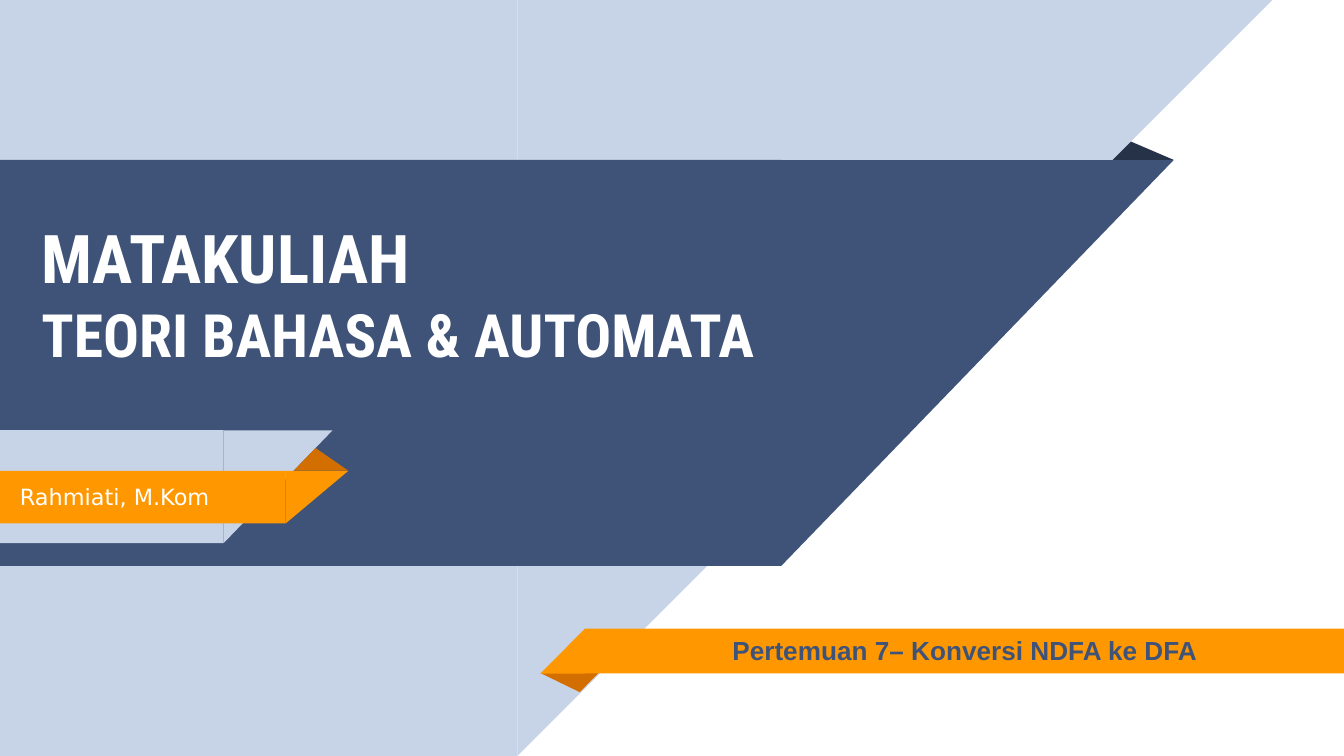
from dataclasses import dataclass

from pptx import Presentation
from pptx.dml.color import RGBColor
from pptx.enum.shapes import MSO_SHAPE
from pptx.enum.text import MSO_ANCHOR, PP_ALIGN
from pptx.util import Pt


@dataclass(frozen=True)
class Theme:
    pale: str = "C7D3E6"
    navy: str = "3F5378"
    navy_fold: str = "263248"
    orange: str = "FF9800"
    orange_fold: str = "D26F00"
    white: str = "FFFFFF"
    title_size: float = 36
    subtitle_size: float = 32
    meeting_size: float = 14
    name_size: float = 12


@dataclass(frozen=True)
class Ribbon:
    """A bar running from start to join, then narrowing to tip."""
    start: float
    join: float
    tip: float
    top: float
    height: float
    colour: str


@dataclass(frozen=True)
class Fold:
    """The shaded triangle behind a ribbon's end."""
    left: float
    top: float
    width: float
    height: float
    apex: float
    colour: str
    turn: float = 0


THEME = Theme()

deck = Presentation()
deck.slide_width, deck.slide_height = Pt(720), Pt(405)
page = deck.slides.add_slide(deck.slide_layouts[6])


def add_solid(kind: MSO_SHAPE, left: float, top: float, width: float, height: float,
              colour: str, turn: float = 0, flip: bool = False):
    shape = page.shapes.add_shape(kind, Pt(left), Pt(top), Pt(width), Pt(height))
    shape.shadow.inherit = False
    shape.fill.solid()
    shape.fill.fore_color.rgb = RGBColor.from_string(colour)
    shape.line.fill.background()
    shape.rotation = turn
    if flip:
        shape.element.spPr.xfrm.set("flipH", "1")
    return shape


def add_ribbon(ribbon: Ribbon) -> None:
    for kind, first, last in ((MSO_SHAPE.RECTANGLE, ribbon.start, ribbon.join),
                              (MSO_SHAPE.RIGHT_TRIANGLE, ribbon.join, ribbon.tip)):
        slanted = kind == MSO_SHAPE.RIGHT_TRIANGLE
        points_right = ribbon.tip > ribbon.join
        add_solid(kind, min(first, last), ribbon.top, abs(last - first), ribbon.height,
                  ribbon.colour, turn=180 if slanted and points_right else 0, flip=slanted)


def add_fold(fold: Fold) -> None:
    shape = add_solid(MSO_SHAPE.ISOSCELES_TRIANGLE, fold.left, fold.top, fold.width,
                      fold.height, fold.colour, fold.turn)
    shape.adjustments[0] = fold.apex


def add_text(lines: list[tuple[str, float]], left: float, top: float, width: float,
             height: float, *, font: str, colour: str, bold: bool = False,
             align: PP_ALIGN = PP_ALIGN.LEFT) -> None:
    box = page.shapes.add_textbox(Pt(left), Pt(top), Pt(width), Pt(height))
    frame = box.text_frame
    frame.word_wrap = True
    frame.vertical_anchor = MSO_ANCHOR.MIDDLE
    frame.margin_left = frame.margin_right = Pt(7.2)
    frame.margin_top = frame.margin_bottom = Pt(7.2)
    para = frame.paragraphs[0]
    para.alignment = align
    for index, (text, size) in enumerate(lines):
        if index:
            para.add_line_break()
        span = para.add_run()
        span.text = text
        span.font.name = font
        span.font.size = Pt(size)
        span.font.bold = bold
        span.font.color.rgb = RGBColor.from_string(colour)


# Backdrop and title band
add_fold(Fold(594, 75.6, 34.8, 10.1, 0.324, THEME.navy_fold))
add_ribbon(Ribbon(0, 277.2, 681.6, 0, 405, THEME.pale))
add_ribbon(Ribbon(0, 418.4, 628.8, 85.7, 217.6, THEME.navy))

# Meeting ribbon, pointing left from the right edge
add_fold(Fold(289.6, 360.6, 31, 10.2, 0.324, THEME.orange_fold, turn=180))
add_ribbon(Ribbon(720, 313.4, 289.6, 336.8, 24, THEME.orange))

# Title and meeting
add_text([("MATAKULIAH", THEME.title_size),
          ("TEORI BAHASA & AUTOMATA", THEME.subtitle_size)],
         15.1, 111.6, 535, 90.7, font="Roboto Condensed", colour=THEME.white, bold=True)
add_text([("Pertemuan 7– Konversi NDFA ke DFA", THEME.meeting_size)],
         317.5, 334.4, 398.9, 28.1, font="Arial", colour=THEME.navy, bold=True,
         align=PP_ALIGN.CENTER)

# Lecturer ribbon
add_ribbon(Ribbon(0, 119.8, 178.2, 230.5, 60.5, THEME.pale))
add_fold(Fold(157.4, 240, 29.2, 12.2, 0.399, THEME.orange_fold))
add_ribbon(Ribbon(0, 153, 186.6, 252.2, 28.2, THEME.orange))
add_text([("Rahmiati, M.Kom", THEME.name_size)], 3.6, 252, 183.6, 28.1,
         font="DejaVu Sans", colour=THEME.white)

deck.save("out.pptx")
